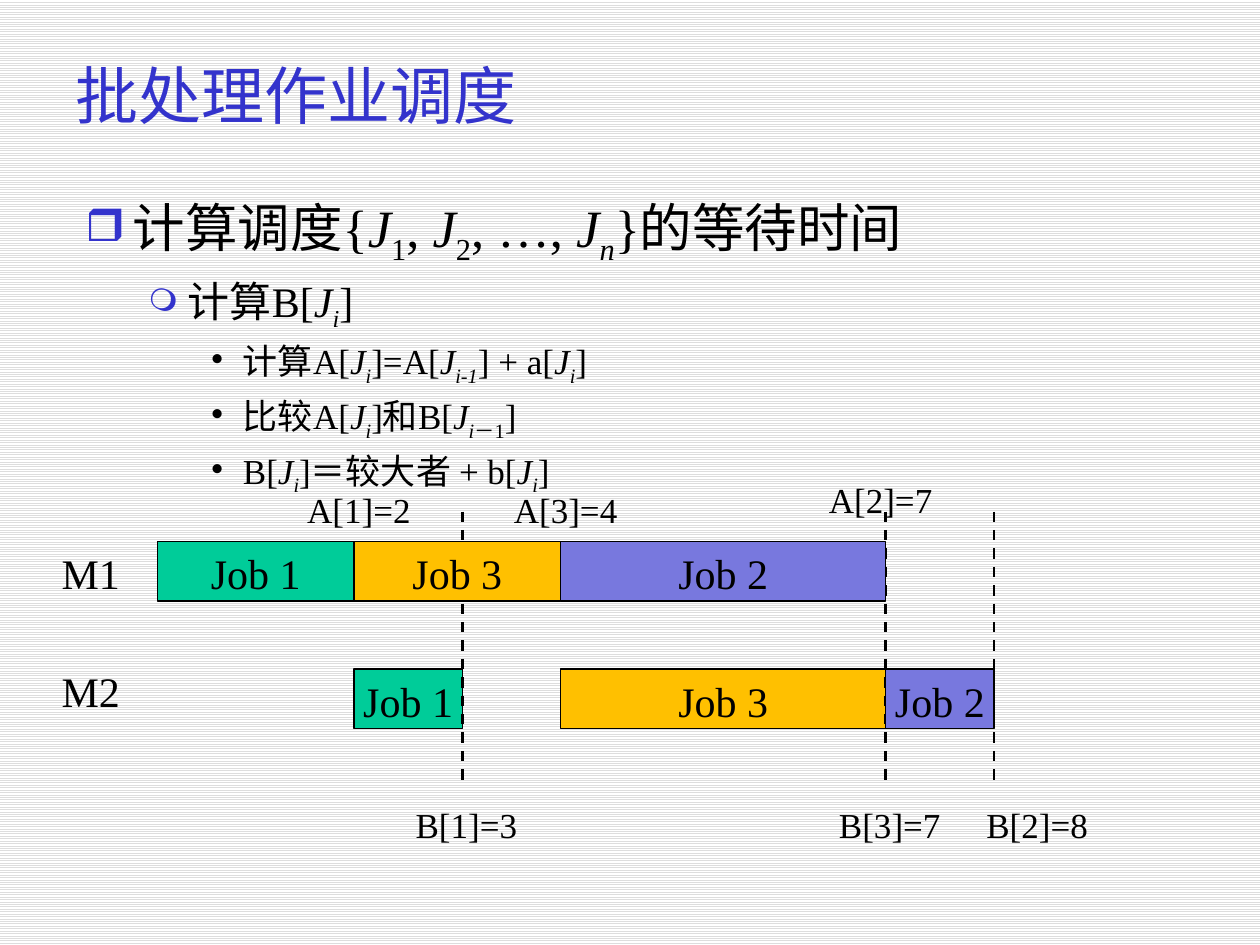
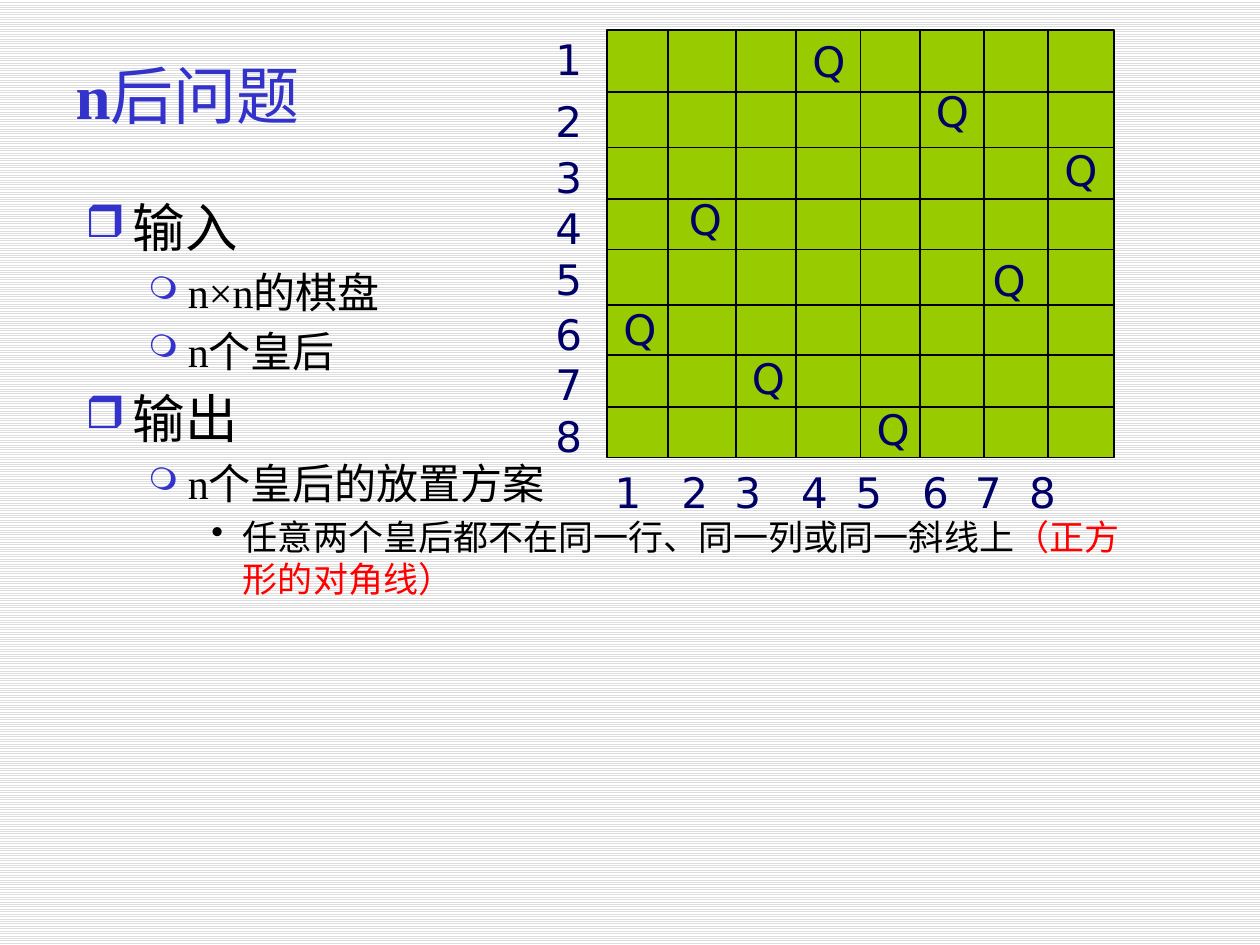
from dataclasses import dataclass
from typing import NamedTuple, Optional, Sequence

from lxml import etree
from pptx import Presentation
from pptx.dml.color import RGBColor
from pptx.enum.dml import MSO_LINE, MSO_PATTERN
from pptx.enum.shapes import MSO_CONNECTOR, MSO_SHAPE
from pptx.enum.text import MSO_ANCHOR, MSO_AUTO_SIZE, PP_ALIGN
from pptx.oxml.ns import qn
from pptx.util import Emu, Inches, Pt

DASH, STRAIGHT, RECT = MSO_LINE.DASH, MSO_CONNECTOR.STRAIGHT, MSO_SHAPE.RECTANGLE
HATCH = MSO_PATTERN.LIGHT_HORIZONTAL
TOP, MIDDLE = MSO_ANCHOR.TOP, MSO_ANCHOR.MIDDLE
LEFT, CENTER = PP_ALIGN.LEFT, PP_ALIGN.CENTER
NO_AUTOFIT = MSO_AUTO_SIZE.NONE

WHITE = RGBColor(0xFF, 0xFF, 0xFF)
STRIPE = RGBColor(0xDD, 0xDD, 0xDD)
BLACK = RGBColor(0, 0, 0)
BLUE = RGBColor(0x33, 0x33, 0xCC)
RED = RGBColor(0xFF, 0, 0)
GREEN = RGBColor(0, 0xCC, 0x99)
AMBER = RGBColor(0xFF, 0xC0, 0)
VIOLET = RGBColor(0x78, 0x78, 0xDE)
LIME = RGBColor(0x99, 0xCC, 0)
NAVY = RGBColor(0, 0, 0x66)

SERIF = "Times New Roman"
SANS = "DejaVu Sans"

# The slide is a grid of 100 columns by 75 rows of square cells.
COLUMNS, ROWS = 100, 75
SLIDE_WIDTH, SLIDE_HEIGHT = Inches(10), Inches(7.5)
CELL = SLIDE_WIDTH // COLUMNS


class Box(NamedTuple):
    left: float
    top: float
    width: float
    height: float


class Run(NamedTuple):
    text: str
    italic: bool = False
    sub: bool = False
    color: RGBColor = BLACK
    bold: bool = False


class Style(NamedTuple):
    size: float
    font: str = SERIF
    color: RGBColor = BLACK


@dataclass(frozen=True)
class Level:
    size: int
    indent: float
    hanging: float
    bullet: str
    bullet_size: int
    bullet_color: RGBColor


class Item(NamedTuple):
    level: int
    runs: Sequence[Run]


@dataclass(frozen=True)
class Job:
    number: int
    color: RGBColor
    first: tuple[int, int]
    second: tuple[int, int]
    first_label: tuple[float, float]
    second_label_left: float


class Queen(NamedTuple):
    column: int
    row: int
    rise: float
    shift: float = 0.3


TITLE_BOX = Box(5, 2.5, 85, 10)
BODY_BOX = Box(5.8, 15, 85, 53.3)
TITLE_SIZE = 36
LEVELS = (
    Level(30, 3.75, 3.75, "❒", 85, BLUE),
    Level(24, 8.13, 3.13, "❍", 75, BLUE),
    Level(20, 12.5, 2.5, "•", 100, BLACK),
)
SPACE_BEFORE = 0.2

J = Run("J", italic=True)
SUB_I = Run("i", italic=True, sub=True)
J_I = (J, SUB_I)

SCHEDULE_TITLE = (Run("批处理作业调度"),)
SCHEDULE_ITEMS = (
    Item(0, (Run("计算调度{"), J, Run("1", sub=True), Run(", "), J, Run("2", sub=True),
             Run(", …, "), J, Run("n", italic=True, sub=True), Run("}的等待时间"))),
    Item(1, (Run("计算B["), *J_I, Run("]"))),
    Item(2, (Run("计算A["), *J_I, Run("]=A["), J, Run("i-1", italic=True, sub=True),
             Run("] + a["), *J_I, Run("]"))),
    Item(2, (Run("比较A["), *J_I, Run("]和B["), *J_I, Run("－1", sub=True), Run("]"))),
    Item(2, (Run("B["), *J_I, Run("]＝较大者 + b["), *J_I, Run("]"))),
)
TIME_COLUMN = {0: 12.5, 2: 28.1, 3: 36.7, 4: 44.5, 7: 70.3, 8: 78.9}
M1_ROW, M2_ROW, TASK_HEIGHT = 43, 53.1, 4.7
FINISH_TOP, FINISH_BOTTOM, FINISH_LABEL_ROW = 40.6, 62.5, 63.3
MACHINES = (("M1", 43), ("M2", 52.3))
JOBS = (
    Job(1, GREEN, (0, 2), (2, 3), (23.4, 38.3), 32),
    Job(3, AMBER, (2, 4), (4, 7), (39.8, 38.3), 65.6),
    Job(2, VIOLET, (4, 7), (7, 8), (64.8, 37.5), 77.3),
)

QUEENS_TITLE = (Run("n", bold=True), Run("后问题"))
QUEENS_ITEMS = (
    Item(0, (Run("输入"),)),
    Item(1, (Run("n×n的棋盘"),)),
    Item(1, (Run("n个皇后"),)),
    Item(0, (Run("输出"),)),
    Item(1, (Run("n个皇后的放置方案"),)),
    Item(2, (Run("任意两个皇后都不在同一行、同一列或同一斜线上"),
             Run("（正方形的对角线）", color=RED))),
)
BOARD_X = (48.2, 53, 58.4, 63.2, 68.3, 73, 78.1, 83.2, 88.4)
BOARD_Y = (2.4, 7.3, 11.7, 15.8, 19.8, 24.2, 28.2, 32.3, 36.3)
BOARD_MIDDLE = 4
COLUMN_LABEL_BOX = Box(47.8, 36.5, 39, 5)
COLUMN_LABEL_TABS = (5.3, 9.5, 14.8, 19.1, 24.4, 28.6, 32.9)
QUEENS = (
    Queen(4, 1, 0.1), Queen(6, 2, 1), Queen(8, 3, 0.7), Queen(2, 4, 0.9, 0.7),
    Queen(7, 5, 0.1, -0.3), Queen(1, 6, 0.6), Queen(3, 7, 0.7), Queen(5, 8, 0.8),
)


def cells(count: float) -> Emu:
    return Emu(round(count * CELL))


def place(shape, box: Box) -> None:
    shape.left, shape.top, shape.width, shape.height = map(cells, box)


def add_runs(paragraph, runs: Sequence[Run], style: Style) -> None:
    for part in runs:
        run = paragraph.add_run()
        run.text = part.text
        font = run.font
        font.name, font.size = style.font, Pt(style.size)
        font.italic, font.bold = part.italic, part.bold
        font.color.rgb = style.color if part.color == BLACK else part.color
        if part.sub:
            run._r.get_or_add_rPr().set("baseline", "-25000")


def add_slide(deck, title: Sequence[Run], items: Sequence[Item]):
    """Add a striped slide with its title and bulleted outline."""
    slide = deck.slides.add_slide(deck.slide_layouts[5])
    fill = slide.background.fill
    fill.patterned()
    fill.pattern = HATCH
    fill.fore_color.rgb, fill.back_color.rgb = STRIPE, WHITE

    heading = slide.shapes.title
    place(heading, TITLE_BOX)
    frame = heading.text_frame
    frame.vertical_anchor, frame.auto_size = MIDDLE, NO_AUTOFIT
    frame.paragraphs[0].alignment = LEFT
    add_runs(frame.paragraphs[0], title, Style(TITLE_SIZE, color=BLUE))

    outline = slide.shapes.add_textbox(*map(cells, BODY_BOX)).text_frame
    outline.word_wrap = True
    for index, item in enumerate(items):
        paragraph = outline.add_paragraph() if index else outline.paragraphs[0]
        level = LEVELS[item.level]
        paragraph.level = item.level
        set_bullet(paragraph, level)
        if index:
            paragraph.space_before = Pt(level.size * SPACE_BEFORE)
        add_runs(paragraph, item.runs, Style(level.size))
    return slide


def set_bullet(paragraph, level: Level) -> None:
    properties = paragraph._p.get_or_add_pPr()
    properties.set("marL", str(cells(level.indent)))
    properties.set("indent", str(cells(-level.hanging)))
    color = etree.SubElement(properties, qn("a:buClr"))
    etree.SubElement(color, qn("a:srgbClr"), val=str(level.bullet_color))
    etree.SubElement(properties, qn("a:buSzPct"), val=str(level.bullet_size * 1000))
    etree.SubElement(properties, qn("a:buChar"), char=level.bullet)


def add_label(slide, text: str, box: Box, style: Style) -> None:
    frame = slide.shapes.add_textbox(*map(cells, box)).text_frame
    frame.word_wrap = False
    add_runs(frame.paragraphs[0], (Run(text),), style)


def add_block(slide, box: Box, color: RGBColor, line_width: float, text: str = ""):
    block = slide.shapes.add_shape(RECT, *map(cells, box))
    block.shadow.inherit = False
    block.fill.solid()
    block.fill.fore_color.rgb = color
    block.line.color.rgb, block.line.width = BLACK, Pt(line_width)
    if text:
        frame = block.text_frame
        frame.word_wrap, frame.vertical_anchor = False, TOP
        frame.paragraphs[0].alignment = CENTER
        add_runs(frame.paragraphs[0], (Run(text),), Style(24))
    return block


def add_line(slide, x1: float, y1: float, x2: float, y2: float, width: float,
             dash: Optional[MSO_LINE] = None):
    line = slide.shapes.add_connector(STRAIGHT, *map(cells, (x1, y1, x2, y2)))
    line.line.color.rgb, line.line.width = BLACK, Pt(width)
    if dash is not None:
        line.line.dash_style = dash
    etree.SubElement(line._element.spPr, qn("a:effectLst"))
    return line


def draw_schedule(slide) -> None:
    for machine, top in MACHINES:
        add_label(slide, machine, Box(3.9, top, 6.7, 5), Style(24))
    for job in JOBS:
        for (start, end), top in ((job.first, M1_ROW), (job.second, M2_ROW)):
            left = TIME_COLUMN[start]
            task = Box(left, top, TIME_COLUMN[end] - left, TASK_HEIGHT)
            add_block(slide, task, job.color, 0.75, f"Job {job.number}")
        first_end, second_end = job.first[1], job.second[1]
        finish = TIME_COLUMN[second_end]
        add_line(slide, finish, FINISH_TOP, finish, FINISH_BOTTOM, 1.5, DASH)
        add_label(slide, f"A[{job.number}]={first_end}",
                  Box(*job.first_label, 10.3, 4.4), Style(20))
        add_label(slide, f"B[{job.number}]={second_end}",
                  Box(job.second_label_left, FINISH_LABEL_ROW, 10.1, 4.4), Style(20))


def draw_chessboard(slide) -> None:
    left, right, top, bottom = BOARD_X[0], BOARD_X[-1], BOARD_Y[0], BOARD_Y[-1]
    board = add_block(slide, Box(left, top, right - left, bottom - top), LIME, 1)
    for y in BOARD_Y[1:-1]:
        add_line(slide, left, y, right, y, 1)
    for index, x in enumerate(BOARD_X[1:-1], start=1):
        divider = add_line(slide, x, top, x, bottom, 1)
        if index == BOARD_MIDDLE:
            divider.begin_connect(board, 0)
            divider.end_connect(board, 2)

    style = Style(24, SANS, NAVY)
    numbers = slide.shapes.add_textbox(*map(cells, COLUMN_LABEL_BOX)).text_frame
    numbers.word_wrap = True
    paragraph = numbers.paragraphs[0]
    tabs = etree.SubElement(paragraph._p.get_or_add_pPr(), qn("a:tabLst"))
    for stop in COLUMN_LABEL_TABS:
        etree.SubElement(tabs, qn("a:tab"), pos=str(cells(stop)), algn="l")
    add_runs(paragraph, (Run("\t".join(str(n) for n in range(1, len(BOARD_X)))),), style)

    for number, y in enumerate(BOARD_Y[:-1], start=1):
        add_label(slide, str(number), Box(43.1, y - 0.2, 4.1, 5), style)
    for queen in QUEENS:
        x = BOARD_X[queen.column - 1] + queen.shift
        y = BOARD_Y[queen.row - 1] - queen.rise
        add_label(slide, "Q", Box(x, y, 4.6, 5), style)


def main() -> None:
    deck = Presentation()
    deck.slide_width, deck.slide_height = SLIDE_WIDTH, SLIDE_HEIGHT
    draw_schedule(add_slide(deck, SCHEDULE_TITLE, SCHEDULE_ITEMS))
    draw_chessboard(add_slide(deck, QUEENS_TITLE, QUEENS_ITEMS))
    deck.save("out.pptx")


if __name__ == "__main__":
    main()
